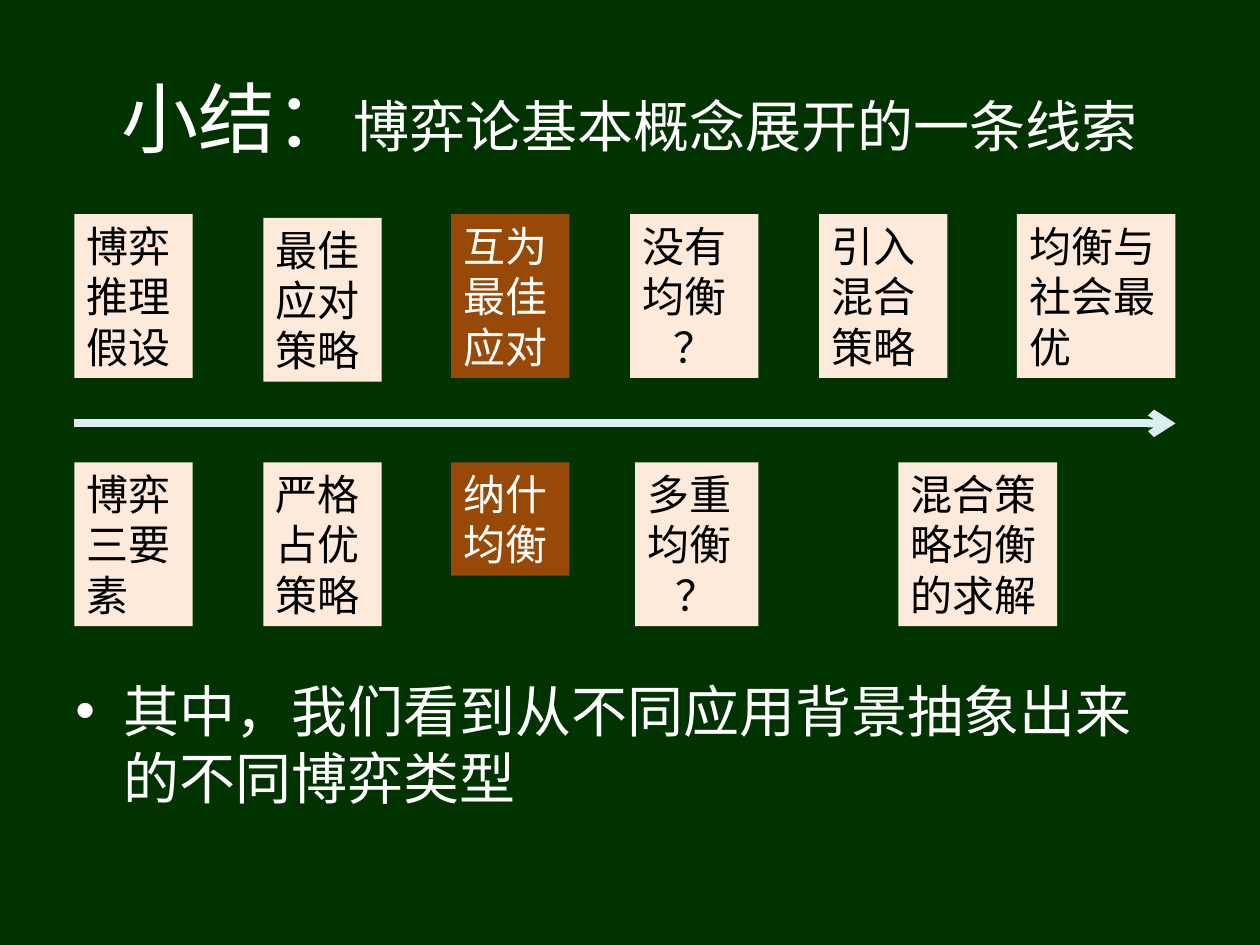
from dataclasses import dataclass

from lxml import etree
from pptx import Presentation
from pptx.dml.color import RGBColor
from pptx.enum.shapes import MSO_CONNECTOR, MSO_SHAPE
from pptx.enum.text import MSO_ANCHOR, MSO_AUTO_SIZE, PP_ALIGN
from pptx.oxml.ns import qn
from pptx.util import Inches, Pt


@dataclass(frozen=True)
class Theme:
    font: str = "Noto Sans CJK SC"
    background: RGBColor = RGBColor(0x00, 0x33, 0x00)
    light_text: RGBColor = RGBColor(0xFF, 0xFF, 0xFF)
    dark_text: RGBColor = RGBColor(0x00, 0x00, 0x00)
    card: RGBColor = RGBColor(0xFD, 0xEA, 0xDA)
    key_card: RGBColor = RGBColor(0x98, 0x48, 0x07)
    arrow: RGBColor = RGBColor(0xDB, 0xEE, 0xF4)
    title_size: int = 44
    body_size: int = 32
    card_size: int = 24
    line_factor: float = 1.2


THEME = Theme()
KEY_CONCEPTS = {"互为最佳应对", "纳什均衡"}
UPPER_TOP, LOWER_TOP = 1.7, 3.67

# Each card: text, left, top, width, number of lines
CARDS = [
    ("博弈推理假设", 0.59, UPPER_TOP, 0.94, 3),
    ("最佳应对策略", 2.09, UPPER_TOP + 0.03, 0.94, 3),
    ("互为最佳应对", 3.58, UPPER_TOP, 0.94, 3),
    ("没有均衡\n？", 5, UPPER_TOP, 1.02, 3),
    ("引入混合策略", 6.5, UPPER_TOP, 1.02, 3),
    ("均衡与社会最优", 8.07, UPPER_TOP, 1.26, 3),
    ("博弈三要素", 0.59, LOWER_TOP, 0.94, 3),
    ("严格占优策略", 2.09, LOWER_TOP, 0.94, 3),
    ("纳什均衡", 3.58, LOWER_TOP, 0.94, 2),
    ("多重均衡\n？", 5.04, LOWER_TOP, 0.98, 3),
    ("混合策略均衡的求解", 7.13, LOWER_TOP, 1.26, 3),
]


def style_paragraph(paragraph, color, size=None):
    """Set colour, size and the font for both Latin and East Asian text."""
    if size:
        paragraph.line_spacing = Pt(size * THEME.line_factor)
        paragraph.font.size = Pt(size)
    paragraph.font.name = THEME.font
    paragraph.font.color.rgb = color
    for properties in [paragraph.font._element] + [
        run._r.get_or_add_rPr() for run in paragraph.runs
    ]:
        east_asian = etree.SubElement(properties, qn("a:ea"))
        east_asian.set("typeface", THEME.font)


def add_title(slide, left, top, width, height):
    title = slide.shapes.title
    title.left, title.top = Inches(left), Inches(top)
    title.width, title.height = Inches(width), Inches(height)
    frame = title.text_frame
    frame.auto_size = MSO_AUTO_SIZE.NONE
    frame.vertical_anchor = MSO_ANCHOR.MIDDLE
    paragraph = frame.paragraphs[0]
    paragraph.alignment = PP_ALIGN.CENTER
    for text, size in (
        ("小结：", THEME.title_size),
        ("博弈论基本概念展开的一条线索", THEME.body_size),
    ):
        run = paragraph.add_run()
        run.text = text
        run.font.size = Pt(size)
    style_paragraph(paragraph, THEME.light_text)


def add_card(slide, text, left, top, width, line_count):
    is_key = text in KEY_CONCEPTS
    height = 0.1 + 0.4 * line_count
    card = slide.shapes.add_shape(
        MSO_SHAPE.RECTANGLE, Inches(left), Inches(top), Inches(width), Inches(height)
    )
    card.shadow.inherit = False
    card.fill.solid()
    card.fill.fore_color.rgb = THEME.key_card if is_key else THEME.card
    card.line.fill.background()
    frame = card.text_frame
    frame.word_wrap = True
    frame.auto_size = MSO_AUTO_SIZE.SHAPE_TO_FIT_TEXT
    frame.vertical_anchor = MSO_ANCHOR.TOP
    frame.text = text
    for paragraph in frame.paragraphs:
        is_mark = paragraph.text == "？"
        paragraph.alignment = PP_ALIGN.CENTER if is_mark else PP_ALIGN.LEFT
        color = THEME.light_text if is_key else THEME.dark_text
        style_paragraph(paragraph, color, THEME.card_size)


def add_arrow(slide, left, right, y):
    arrow = slide.shapes.add_connector(
        MSO_CONNECTOR.STRAIGHT, Inches(left), Inches(y), Inches(right), Inches(y)
    )
    arrow.line.color.rgb = THEME.arrow
    arrow.line.width = Pt(4.5)
    etree.SubElement(arrow.line._get_or_add_ln(), qn("a:tailEnd")).set("type", "arrow")
    etree.SubElement(arrow._element.spPr, qn("a:effectLst"))


def add_remark(slide, left, top, width, height):
    box = slide.shapes.add_textbox(
        Inches(left), Inches(top), Inches(width), Inches(height)
    )
    frame = box.text_frame
    frame.word_wrap = True
    paragraph = frame.paragraphs[0]
    paragraph.text = "其中，我们看到从不同应用背景抽象出来的不同博弈类型"
    properties = paragraph._p.get_or_add_pPr()
    properties.set("marL", str(Inches(0.38)))
    properties.set("indent", str(Inches(-0.38)))
    etree.SubElement(properties, qn("a:buFont")).set("typeface", "Arial")
    etree.SubElement(properties, qn("a:buChar")).set("char", "•")
    style_paragraph(paragraph, THEME.light_text, THEME.body_size)


def main():
    presentation = Presentation()
    presentation.slide_width, presentation.slide_height = Inches(10), Inches(7.5)
    slide = presentation.slides.add_slide(presentation.slide_layouts[5])
    slide.background.fill.solid()
    slide.background.fill.fore_color.rgb = THEME.background
    add_title(slide, 0.5, 0.3, 9, 1.25)
    add_remark(slide, 0.5, 5.32, 9, 1.37)
    for card in CARDS:
        add_card(slide, *card)
    add_arrow(slide, 0.59, 9.33, 3.36)
    presentation.save("out.pptx")


if __name__ == "__main__":
    main()
